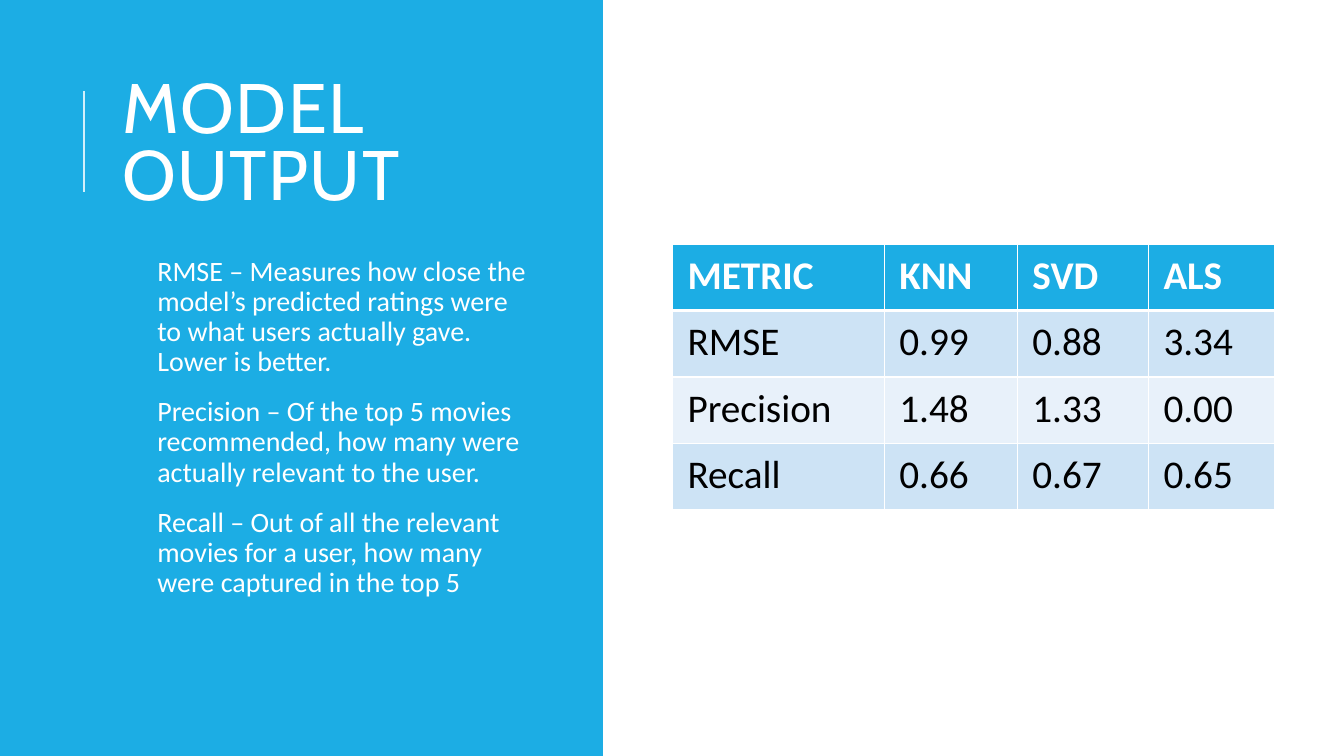
from dataclasses import dataclass

import pptx
import pptx.dml.color
import pptx.enum.shapes
import pptx.enum.text
import pptx.oxml
import pptx.oxml.ns
import pptx.util

Inches = pptx.util.Inches
Pt = pptx.util.Pt
RGBColor = pptx.dml.color.RGBColor

BLUE = RGBColor(0x1C, 0xAD, 0xE4)
PALE = RGBColor(0xD2, 0xEF, 0xFA)
BAND = RGBColor(0xCD, 0xE3, 0xF5)
LIGHT = RGBColor(0xE8, 0xF1, 0xFA)
WHITE = RGBColor(0xFF, 0xFF, 0xFF)
BLACK = RGBColor(0x00, 0x00, 0x00)


@dataclass
class Row:
    cells: tuple[str, ...]
    fill: RGBColor
    ink: RGBColor = BLACK
    bold: bool = False
    base: float = 1  # width of the bottom border in points


NOTES = (
    "RMSE – Measures how close the model’s predicted ratings were to what users actually gave. "
    "Lower is better.",
    "Precision – Of the top 5 movies recommended, how many were actually relevant to the user.",
    "Recall – Out of all the relevant movies for a user, how many were captured in the top 5",
)
ROWS = (
    Row(("METRIC", "KNN", "SVD", "ALS"), BLUE, WHITE, True, 3),
    Row(("RMSE", "0.99", "0.88", "3.34"), BAND),
    Row(("Precision", "1.48", "1.33", "0.00"), LIGHT),
    Row(("Recall", "0.66", "0.67", "0.65"), BAND),
)
WIDTHS = (2.1, 1.32, 1.3, 1.25)
HEIGHT = 0.66
SPACE = pptx.oxml.ns.nsdecls("a")


def style(para, face: str, size: float, ink: RGBColor, bold: bool = False) -> None:
    font = para.font
    font.name, font.size, font.bold = face, Pt(size), bold
    font.color.rgb = ink


def add_panel(slide) -> None:
    panel = slide.shapes.add_shape(
        pptx.enum.shapes.MSO_SHAPE.RECTANGLE, 0, 0, Inches(5.98), Inches(7.5))
    panel.shadow.inherit = False
    panel.fill.solid()
    panel.fill.fore_color.rgb = BLUE
    panel.line.fill.background()


def add_title(slide) -> None:
    box = slide.shapes.add_textbox(Inches(1.12), Inches(0.64), Inches(4.13), Inches(1.64))
    frame = box.text_frame
    frame.word_wrap = True
    frame.vertical_anchor = pptx.enum.text.MSO_ANCHOR.MIDDLE
    para = frame.paragraphs[0]
    para.line_spacing = 0.8
    style(para, "Cabin", 50, WHITE)
    run = para.add_run()
    run.text = "MODEL OUTPUT"
    run._r.get_or_add_rPr().set("spc", "100")


def add_rule(slide) -> None:
    rule = slide.shapes.add_connector(
        pptx.enum.shapes.MSO_CONNECTOR.STRAIGHT,
        Inches(0.83), Inches(1.9), Inches(0.83), Inches(0.9))
    rule.line.color.rgb = PALE
    rule.line.width = Pt(1.5)
    rule._element.spPr.append(pptx.oxml.parse_xml(f"<a:effectLst {SPACE}/>"))


def add_notes(slide) -> None:
    box = slide.shapes.add_textbox(Inches(1.12), Inches(2.5), Inches(4.15), Inches(4.3))
    frame = box.text_frame
    frame.word_wrap = True
    frame.margin_left = frame.margin_right = Inches(0.05)
    frame.margin_top = frame.margin_bottom = Inches(0.05)
    for i, note in enumerate(NOTES):
        para = frame.add_paragraph() if i else frame.paragraphs[0]
        para.text = note
        para.line_spacing = 0.9
        para.space_before, para.space_after = Pt(12), Pt(2)
        para._p.get_or_add_pPr().set("marL", str(Inches(0.39)))
        style(para, "Calibri", 20, WHITE)


def add_edge(cell, side: str, width: float) -> None:
    edge = pptx.oxml.parse_xml(
        f'<a:{side} {SPACE} w="{Pt(width)}">'
        f'<a:solidFill><a:srgbClr val="{WHITE}"/></a:solidFill></a:{side}>')
    cell._tc.get_or_add_tcPr().append(edge)


def add_table(slide) -> None:
    table = slide.shapes.add_table(
        len(ROWS), len(WIDTHS), Inches(6.67), Inches(2.42),
        Inches(sum(WIDTHS)), Inches(HEIGHT * len(ROWS))).table
    for col, width in zip(table.columns, WIDTHS):
        col.width = Inches(width)
    for r, row in enumerate(ROWS):
        table.rows[r].height = Inches(HEIGHT)
        top = ROWS[r - 1].base if r else 1
        for c, text in enumerate(row.cells):
            cell = table.cell(r, c)
            cell.text = text
            cell.margin_left = cell.margin_right = Inches(0.15)
            cell.margin_top = cell.margin_bottom = Inches(0.08)
            style(cell.text_frame.paragraphs[0], "Calibri", 28, row.ink, row.bold)
            # Borders come before the fill in the cell properties
            for side, width in (("lnL", 1), ("lnR", 1), ("lnT", top), ("lnB", row.base)):
                add_edge(cell, side, width)
            cell.fill.solid()
            cell.fill.fore_color.rgb = row.fill


def main() -> None:
    deck = pptx.Presentation()
    deck.slide_width, deck.slide_height = Inches(13.33), Inches(7.5)
    slide = deck.slides.add_slide(deck.slide_layouts[6])

    # Left side: panel, heading and definitions
    add_panel(slide)
    add_title(slide)
    add_rule(slide)
    add_notes(slide)

    # Right side: scores
    add_table(slide)
    deck.save("out.pptx")


if __name__ == "__main__":
    main()
